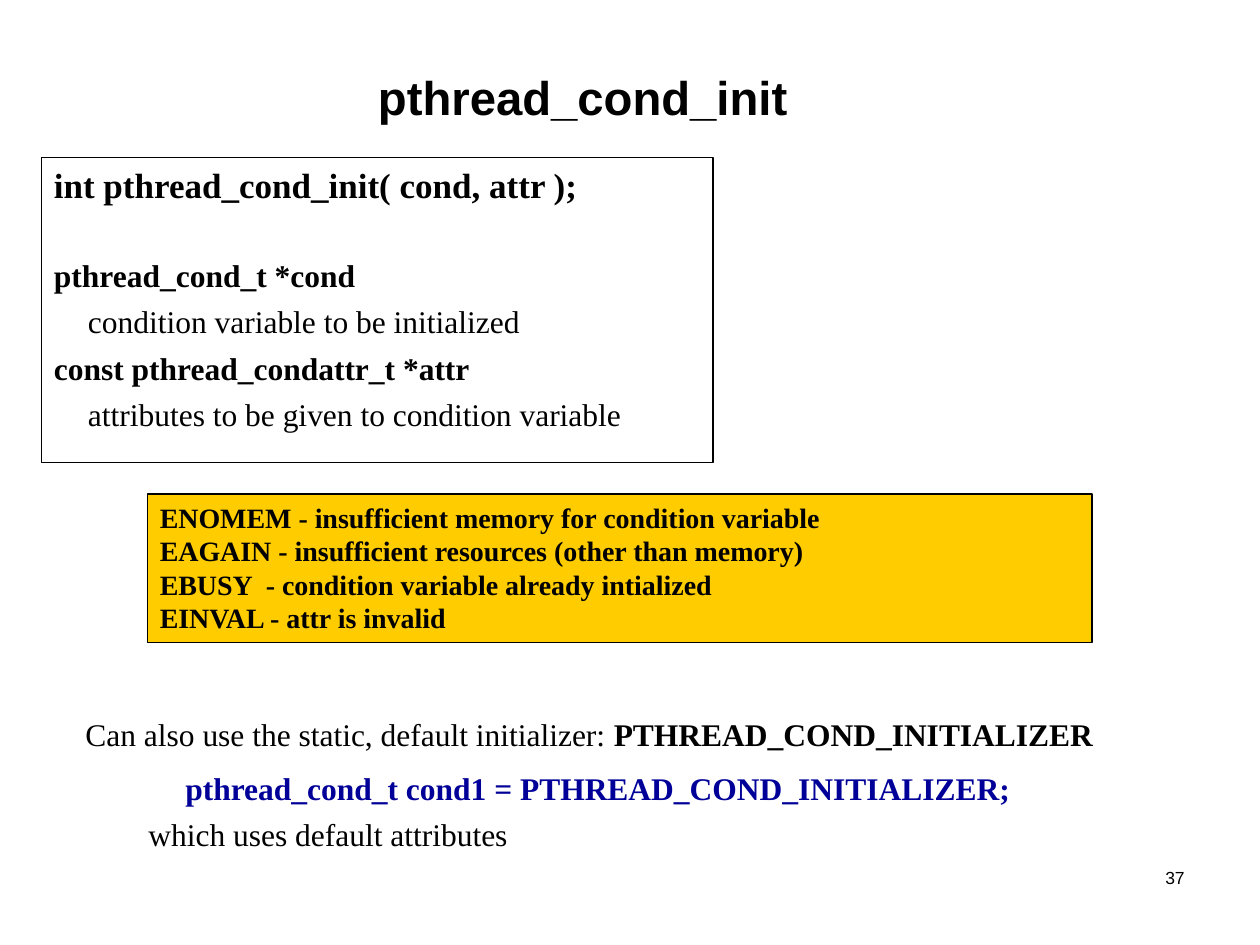
from dataclasses import dataclass

from pptx import Presentation
from pptx.dml.color import RGBColor
from pptx.enum.shapes import MSO_SHAPE
from pptx.enum.text import MSO_ANCHOR, PP_ALIGN
from pptx.util import Inches, Pt

LEFT, CENTER, RIGHT = PP_ALIGN.LEFT, PP_ALIGN.CENTER, PP_ALIGN.RIGHT
TOP, MIDDLE = MSO_ANCHOR.TOP, MSO_ANCHOR.MIDDLE
RECTANGLE = MSO_SHAPE.RECTANGLE
TITLE_ONLY = 5
SERIF, SANS = "Times New Roman", "Arial"
BLACK, WHITE, GOLD, NAVY = "000000", "FFFFFF", "FFCC00", "000099"


@dataclass
class Line:
    text: str
    bold: bool = False
    size: float = 18
    color: str = BLACK
    before: float = 0
    indent: float = 0
    align: PP_ALIGN = LEFT
    spacing: float = 1.0
    bold_tail: str = ""


@dataclass
class Box:
    left: float
    top: float
    width: float
    height: float
    lines: list[Line]
    font: str = SERIF
    fill: str = ""
    border: float = 0


def rgb(value: str) -> RGBColor:
    return RGBColor.from_string(value)


def add_run(paragraph, text: str, *, font: str, size: float, color: str, bold: bool) -> None:
    run = paragraph.add_run()
    run.text = text
    run.font.name = font
    run.font.size = Pt(size)
    run.font.bold = bold
    run.font.color.rgb = rgb(color)


def write_lines(frame, lines: list[Line], font: str, anchor=TOP) -> None:
    frame.word_wrap = True
    frame.vertical_anchor = anchor
    for index, line in enumerate(lines):
        paragraph = frame.add_paragraph() if index else frame.paragraphs[0]
        paragraph.alignment = line.align
        paragraph.space_before = Pt(line.before)
        paragraph.line_spacing = line.spacing
        if line.indent:
            paragraph_format = paragraph._p.get_or_add_pPr()
            paragraph_format.set("marL", str(Inches(line.indent)))
            paragraph_format.set("indent", "0")
        style = dict(font=font, size=line.size, color=line.color)
        add_run(paragraph, line.text, bold=line.bold, **style)
        if line.bold_tail:
            add_run(paragraph, line.bold_tail, bold=True, **style)


def add_box(slide, box: Box) -> None:
    bounds = [Inches(n) for n in (box.left, box.top, box.width, box.height)]
    if box.fill:
        shape = slide.shapes.add_shape(RECTANGLE, *bounds)
        shape.shadow.inherit = False
        shape.fill.solid()
        shape.fill.fore_color.rgb = rgb(box.fill)
        shape.line.color.rgb = rgb(BLACK)
        shape.line.width = Pt(box.border)
    else:
        shape = slide.shapes.add_textbox(*bounds)
    write_lines(shape.text_frame, box.lines, box.font)


def add_title(slide, text: str) -> None:
    title = slide.shapes.title
    title.left, title.top = Inches(2.25), Inches(0.5)
    title.width, title.height = Inches(4.75), Inches(0.53)
    write_lines(title.text_frame, [Line(text, bold=True, size=27, align=CENTER)], SANS, MIDDLE)


SIGNATURE = Box(0.33, 1.25, 5.33, 2.42, fill=WHITE, border=0.75, lines=[
    Line("int pthread_cond_init( cond, attr );", bold=True, size=20),
    Line("pthread_cond_t *cond", bold=True, before=29),
    Line("condition variable to be initialized", before=4.7, indent=0.27),
    Line("const pthread_condattr_t *attr", bold=True, before=4.7),
    Line("attributes to be given to condition variable", before=4.7, indent=0.27),
])

ERRORS = Box(1.17, 3.92, 7.5, 1.18, fill=GOLD, border=1, lines=[
    Line(error, bold=True, size=16)
    for error in (
        "ENOMEM - insufficient memory for condition variable",
        "EAGAIN - insufficient resources (other than memory)",
        "EBUSY  - condition variable already intialized",
        "EINVAL - attr is invalid",
    )
])

STATIC_INITIALIZER = Box(0.58, 5.68, 8.33, 1.15, lines=[
    Line("Can also use the static, default initializer: ", spacing=0.8,
         bold_tail="PTHREAD_COND_INITIALIZER"),
    Line("pthread_cond_t cond1 = PTHREAD_COND_INITIALIZER;", bold=True,
         color=NAVY, before=9.6, align=CENTER),
    Line("which uses default attributes", before=4.7, indent=0.5),
])

PAGE_NUMBER = Box(7.42, 6.83, 2.08, 0.5, font=SANS,
                  lines=[Line("37", size=10, align=RIGHT)])


def main() -> None:
    presentation = Presentation()
    presentation.slide_width, presentation.slide_height = Inches(10), Inches(7.5)
    slide = presentation.slides.add_slide(presentation.slide_layouts[TITLE_ONLY])
    add_title(slide, "pthread_cond_init")
    for box in (SIGNATURE, ERRORS, STATIC_INITIALIZER, PAGE_NUMBER):
        add_box(slide, box)
    presentation.save("out.pptx")


if __name__ == "__main__":
    main()
